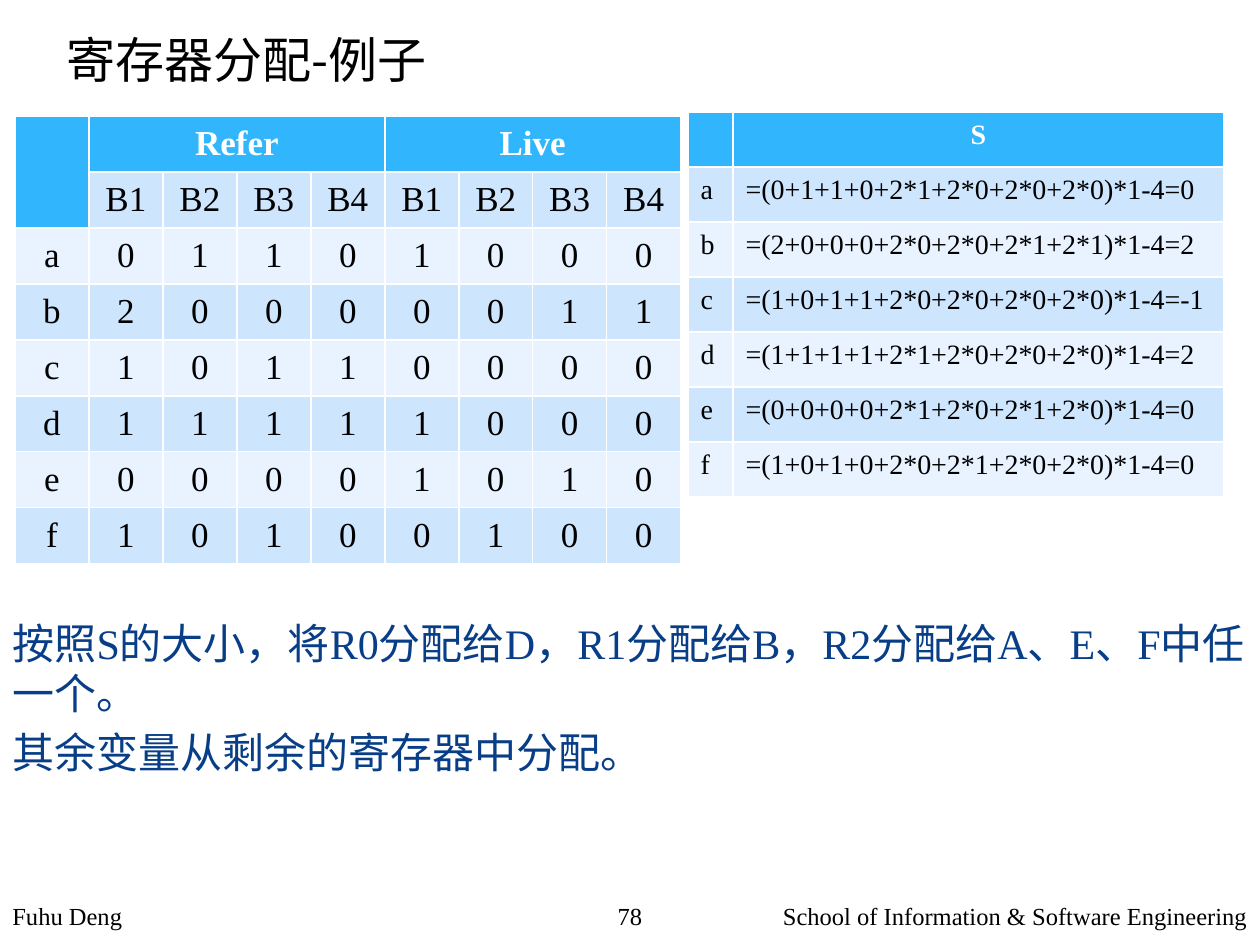
from pptx import Presentation
from pptx.dml.color import RGBColor
from pptx.enum.text import MSO_ANCHOR, MSO_AUTO_SIZE, PP_ALIGN
from pptx.oxml.ns import qn
from pptx.util import Emu, Pt

BLACK = RGBColor(0x00, 0x00, 0x00)
WHITE = RGBColor(0xFF, 0xFF, 0xFF)
NAVY = RGBColor(0x07, 0x3E, 0x87)
HEADER = RGBColor(0x31, 0xB6, 0xFD)
BANDS = RGBColor(0xCE, 0xE5, 0xFE), RGBColor(0xE8, 0xF3, 0xFF)
SERIF = "Times New Roman"
SANS = "Noto Sans CJK SC"

BLOCKS = ["B1", "B2", "B3", "B4"]
USAGE = [
    ["", "Refer", "", "", "", "Live", "", "", ""],
    ["", *BLOCKS, *BLOCKS],
    *map(list, ("a01101000", "b20000011", "c10110000",
                "d11111000", "e00001010", "f10100100")),
]
SAVINGS = [
    ["", "S"],
    ["a", "=(0+1+1+0+2*1+2*0+2*0+2*0)*1-4=0"],
    ["b", "=(2+0+0+0+2*0+2*0+2*1+2*1)*1-4=2"],
    ["c", "=(1+0+1+1+2*0+2*0+2*0+2*0)*1-4=-1"],
    ["d", "=(1+1+1+1+2*1+2*0+2*0+2*0)*1-4=2"],
    ["e", "=(0+0+0+0+2*1+2*0+2*1+2*0)*1-4=0"],
    ["f", "=(1+0+1+0+2*0+2*1+2*0+2*0)*1-4=0"],
]
CONCLUSIONS = [
    "按照S的大小，将R0分配给D，R1分配给B，R2分配给A、E、F中任一个。",
    "其余变量从剩余的寄存器中分配。",
]


def px(length):
    """Turn a length in px into EMU, at 126 px to the inch."""
    return Emu(round(length * 914400 / 126))


def add_run(paragraph, text, size, color, font=SERIF, bold=False):
    """Add one formatted run, with the East Asian face set as well."""
    run = paragraph.add_run()
    run.text = text
    run.font.name = font
    run.font.size = Pt(size)
    run.font.bold = bold
    run.font.color.rgb = color
    east_asian = run.font._element.makeelement(qn("a:ea"), {"typeface": SANS})
    run.font._element.find(qn("a:latin")).addnext(east_asian)


def fill_text(holder, box, lines, size, color, font=SERIF, align=PP_ALIGN.LEFT):
    """Place a text holder and write its lines without bullets."""
    holder.left, holder.top, holder.width, holder.height = map(px, box)
    frame = holder.text_frame
    frame.word_wrap = True
    frame.auto_size = MSO_AUTO_SIZE.NONE
    frame.vertical_anchor = MSO_ANCHOR.TOP
    for number, line in enumerate(lines):
        paragraph = frame.add_paragraph() if number else frame.paragraphs[0]
        paragraph.alignment = align
        paragraph.space_before = Pt(size * 0.2 if number else 0)
        properties = paragraph._p.get_or_add_pPr()
        properties.set("marL", "0")
        properties.set("indent", "0")
        properties.append(properties.makeelement(qn("a:buNone"), {}))
        add_run(paragraph, line, size, color, font)


def add_footer(slide, left, width, text, align):
    """Add one part of the footer line."""
    box = (left, 895, width, 50)
    footer = slide.shapes.add_textbox(*map(px, box))
    fill_text(footer, box, [text], 14, BLACK, align=align)


def add_grid(slide, left, top, widths, row_height, rows, size, anchor, align):
    """Add a banded table whose first row is a centred header."""
    table = slide.shapes.add_table(
        len(rows), len(widths), px(left), px(top),
        px(sum(widths)), px(row_height * len(rows))).table
    for column, width in zip(table.columns, widths):
        column.width = px(width)
    for r, row in enumerate(rows):
        table.rows[r].height = px(row_height)
        for c, text in enumerate(row):
            cell = table.cell(r, c)
            cell.fill.solid()
            cell.fill.fore_color.rgb = BANDS[(r - 1) % 2] if r else HEADER
            cell.vertical_anchor = anchor
            cell.margin_top = cell.margin_bottom = px(8)
            paragraph = cell.text_frame.paragraphs[0]
            paragraph.alignment = align if r else PP_ALIGN.CENTER
            if text:
                add_run(paragraph, text, size, BLACK if r else WHITE, bold=not r)
    return table


def main():
    """Build the register allocation slide."""
    deck = Presentation()
    deck.slide_width, deck.slide_height = px(1260), px(945)
    slide = deck.slides.add_slide(deck.slide_layouts[1])

    fill_text(slide.placeholders[1], (0, 611, 1260, 248), CONCLUSIONS, 24, NAVY)
    fill_text(slide.shapes.title, (54, 23, 902, 92), ["寄存器分配-例子"],
              28, BLACK, SANS)

    usage = add_grid(slide, 15, 116, [74] * 9, 56, USAGE, 20,
                     MSO_ANCHOR.MIDDLE, PP_ALIGN.CENTER)
    usage.cell(0, 0).merge(usage.cell(1, 0))
    for first in (1, 5):
        usage.cell(0, first).merge(usage.cell(0, first + 3))
    add_grid(slide, 688, 112, [45, 491], 55, SAVINGS, 16,
             MSO_ANCHOR.TOP, PP_ALIGN.LEFT)

    add_footer(slide, 669, 591, "School of Information & Software Engineering",
               PP_ALIGN.RIGHT)
    add_footer(slide, 0, 591, "Fuhu Deng", PP_ALIGN.LEFT)
    add_footer(slide, 591, 78, "78", PP_ALIGN.CENTER)
    deck.save("out.pptx")


if __name__ == "__main__":
    main()
